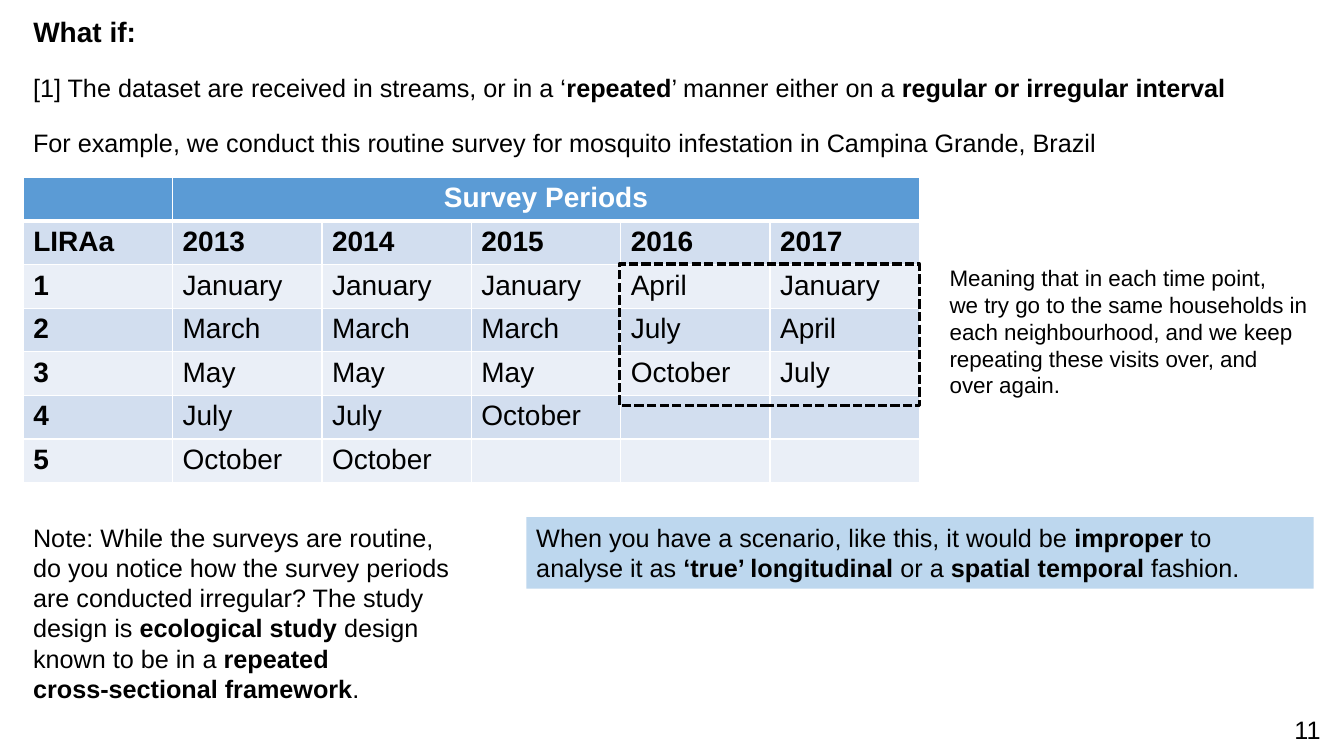
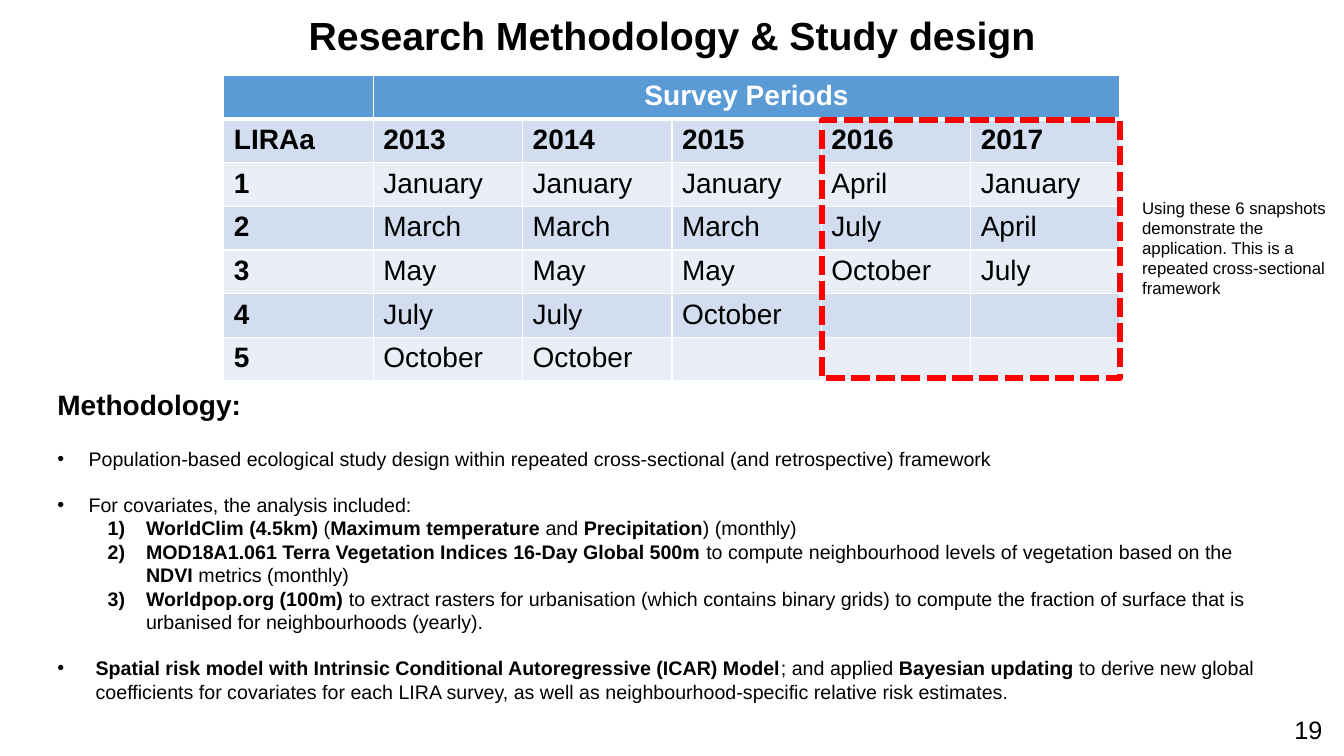
from dataclasses import dataclass
from typing import Optional

from lxml import etree
from pptx import Presentation
from pptx.dml.color import RGBColor
from pptx.enum.dml import MSO_LINE
from pptx.enum.shapes import MSO_SHAPE
from pptx.enum.text import MSO_ANCHOR, MSO_AUTO_SIZE, PP_ALIGN
from pptx.oxml.ns import qn
from pptx.util import Inches, Pt

LEFT, CENTER = PP_ALIGN.LEFT, PP_ALIGN.CENTER
TOP = MSO_ANCHOR.TOP
RECTANGLE = MSO_SHAPE.RECTANGLE
DASHED = MSO_LINE.SQUARE_DOT
TITLE_ONLY = 5


@dataclass(frozen=True)
class Theme:
    font: str = "Arial"
    ink: str = "000000"
    paper: str = "FFFFFF"
    header: str = "5B9BD5"
    band_dark: str = "D2DEEF"
    band_light: str = "EAEFF7"
    callout: str = "BDD7EE"
    alert: str = "FF0000"
    title: int = 28
    heading: int = 20
    body: int = 18
    remark: int = 16
    detail: int = 14
    caption: int = 12


@dataclass(frozen=True)
class Box:
    left: float
    top: float
    width: float
    height: float

    def lengths(self):
        return [Inches(v) for v in (self.left, self.top, self.width, self.height)]


@dataclass(frozen=True)
class Para:
    """A paragraph; **double asterisks** enclose bold words."""
    text: str
    size: int
    align: PP_ALIGN = LEFT
    color: str = "000000"
    bullet: Optional[str] = None  # "•" or "1)"
    margin: float = 0
    hanging: float = 0
    before: int = 0
    spacing: Optional[float] = None


THEME = Theme()

SURVEY_ROWS = [
    ["LIRAa", "2013", "2014", "2015", "2016", "2017"],
    ["1", "January", "January", "January", "April", "January"],
    ["2", "March", "March", "March", "July", "April"],
    ["3", "May", "May", "May", "October", "July"],
    ["4", "July", "July", "October", "", ""],
    ["5", "October", "October", "", "", ""],
]
SURVEY_WIDTH, SURVEY_HEIGHT = 8.89, 3.03


# Text
def write_para(paragraph, para: Para) -> None:
    if para.bullet:
        props = paragraph._p.get_or_add_pPr()
        props.set("marL", str(Inches(para.margin)))
        props.set("indent", str(-Inches(para.hanging)))
        font = etree.SubElement(props, qn("a:buFont"))
        font.set("typeface", THEME.font)
        if para.bullet == "1)":
            paragraph.level = 1
            etree.SubElement(props, qn("a:buAutoNum")).set("type", "arabicParenR")
        else:
            etree.SubElement(props, qn("a:buChar")).set("char", para.bullet)
    paragraph.alignment = para.align
    if para.before:
        paragraph.space_before = Pt(para.before)
    if para.spacing:
        paragraph.line_spacing = para.spacing
    for index, part in enumerate(para.text.split("**")):
        if part:
            run = paragraph.add_run()
            run.text = part
            run.font.name = THEME.font
            run.font.size = Pt(para.size)
            run.font.bold = index % 2 == 1
            run.font.color.rgb = RGBColor.from_string(para.color)


def fill_frame(frame, paras: list[Para]) -> None:
    frame.word_wrap = True
    frame.auto_size = MSO_AUTO_SIZE.NONE
    frame.vertical_anchor = TOP
    for index, para in enumerate(paras):
        paragraph = frame.add_paragraph() if index else frame.paragraphs[0]
        write_para(paragraph, para)


def add_text(slide, box: Box, paras: list[Para]) -> None:
    fill_frame(slide.shapes.add_textbox(*box.lengths()).text_frame, paras)


def add_lines(slide, box: Box, lines: list[str], size: int) -> None:
    add_text(slide, box, [Para(line, size) for line in lines])


# Shapes
def add_callout(slide, box: Box, text: str) -> None:
    callout = slide.shapes.add_shape(RECTANGLE, *box.lengths())
    callout.shadow.inherit = False
    callout.fill.solid()
    callout.fill.fore_color.rgb = RGBColor.from_string(THEME.callout)
    callout.line.fill.background()
    fill_frame(callout.text_frame, [Para(text, THEME.body)])


def add_dashed_frame(slide, box: Box, color: str, weight: float) -> None:
    frame = slide.shapes.add_shape(RECTANGLE, *box.lengths())
    frame.shadow.inherit = False
    frame.fill.background()
    frame.line.color.rgb = RGBColor.from_string(color)
    frame.line.width = Pt(weight)
    frame.line.dash_style = DASHED


# Survey table
def style_cell(cell, fill: str, bottom: int = 1, top: int = 1) -> None:
    props = cell._tc.get_or_add_tcPr()
    for side, weight in (("L", 1), ("R", 1), ("T", top), ("B", bottom)):
        border = etree.SubElement(props, qn(f"a:ln{side}"))
        border.set("w", str(Pt(weight)))
        solid = etree.SubElement(border, qn("a:solidFill"))
        etree.SubElement(solid, qn("a:srgbClr")).set("val", THEME.paper)
    cell.fill.solid()
    cell.fill.fore_color.rgb = RGBColor.from_string(fill)


def add_survey_table(slide, left: float, top: float) -> None:
    box = Box(left, top, SURVEY_WIDTH, SURVEY_HEIGHT)
    columns = len(SURVEY_ROWS[0])
    table = slide.shapes.add_table(len(SURVEY_ROWS) + 1, columns, *box.lengths()).table
    for column in range(columns):
        style_cell(table.cell(0, column), THEME.header, bottom=3)
    periods = table.cell(0, 1)
    periods.merge(table.cell(0, columns - 1))
    write_para(periods.text_frame.paragraphs[0],
               Para("**Survey Periods**", THEME.heading, CENTER, THEME.paper))
    for r, row in enumerate(SURVEY_ROWS, start=1):
        for c, entry in enumerate(row):
            cell = table.cell(r, c)
            style_cell(cell, THEME.band_dark if r % 2 else THEME.band_light,
                       top=3 if r == 1 else 1)
            if entry:
                text = f"**{entry}**" if r == 1 or c == 0 else entry
                write_para(cell.text_frame.paragraphs[0], Para(text, THEME.heading))


# Shared slide start: title and page number
def start_slide(deck, title_box: Box, title: Para, number: str):
    slide = deck.slides.add_slide(deck.slide_layouts[TITLE_ONLY])
    heading = slide.shapes.title
    heading.left, heading.top, heading.width, heading.height = title_box.lengths()
    fill_frame(heading.text_frame, [title])
    add_lines(slide, Box(12.74, 7.04, 0.59, 0.4), [number], THEME.body)
    return slide


def build_what_if(deck) -> None:
    slide = start_slide(deck, Box(0.23, 0.09, 3.79, 0.44),
                        Para("**What if:**", THEME.heading), "11")
    add_lines(slide, Box(0.23, 0.67, 12.21, 0.4), [
        "[1] The dataset are received in streams, or in a ‘**repeated**’ manner "
        "either on a **regular or irregular interval**"], THEME.body)
    add_lines(slide, Box(0.23, 1.21, 10.97, 0.4), [
        "For example, we conduct this routine survey for mosquito infestation "
        "in Campina Grande, Brazil"], THEME.body)
    add_survey_table(slide, 0.23, 1.76)
    add_dashed_frame(slide, Box(6.14, 2.62, 2.98, 1.4), THEME.ink, 2.25)
    add_lines(slide, Box(9.32, 2.57, 3.86, 1.45), [
        "Meaning that in each time point,",
        "we try go to the same households in",
        "each neighbourhood, and we keep",
        "repeating these visits over, and",
        "over again.",
    ], THEME.remark)
    add_lines(slide, Box(0.23, 5.13, 4.5, 1.92), [
        "Note: While the surveys are routine,",
        "do you notice how the survey periods",
        "are conducted irregular? The study",
        "design is **ecological study **design",
        "known to be in a **repeated**",
        "**cross-sectional framework**.",
    ], THEME.body)
    add_callout(slide, Box(5.22, 5.13, 7.81, 0.71),
                "When you have a scenario, like this, it would be **improper** to analyse "
                "it as **‘true’ longitudinal **or a **spatial temporal** fashion.")


def build_methodology(deck) -> None:
    slide = start_slide(deck, Box(0.22, 0.11, 12.89, 0.62),
                        Para("**Research Methodology & Study design**", THEME.title,
                             CENTER, spacing=0.9), "19")
    add_survey_table(slide, 2.22, 0.75)
    add_dashed_frame(slide, Box(8.15, 1.19, 2.96, 2.56), THEME.alert, 4.5)
    add_lines(slide, Box(11.23, 1.91, 2.03, 1.11), [
        "Using these 6 snapshots demonstrate the application. "
        "This is a repeated cross-sectional framework"], THEME.caption)

    def point(text: str, before: int, indent: float = 0.31) -> Para:
        return Para(text, THEME.detail, bullet="•", margin=indent,
                    hanging=indent, before=before)

    covariates = [
        "**WorldClim (4.5km)** (**Maximum temperature **and **Precipitation**) (monthly)",
        "**MOD18A1.061 Terra Vegetation Indices 16-Day Global 500m **to compute "
        "neighbourhood levels of vegetation based on the **NDVI** metrics (monthly)",
        "**Worldpop.org (100m) **to extract rasters for urbanisation (which contains "
        "binary grids) to compute the fraction of surface that is urbanised for "
        "neighbourhoods (yearly).",
    ]
    add_text(slide, Box(0.47, 3.8, 12.28, 3.3), [
        Para("**Methodology:**", THEME.heading),
        point("Population-based ecological study design within repeated "
              "cross-sectional (and retrospective) framework", 18),
        point("For covariates, the analysis included:", 16),
        *[Para(text, THEME.detail, bullet="1)", margin=0.88, hanging=0.38)
          for text in covariates],
        point("**Spatial risk model with Intrinsic Conditional Autoregressive (ICAR) "
              "Model**; and applied **Bayesian updating** to derive new global "
              "coefficients for covariates for each LIRA survey, as well as "
              "neighbourhood-specific relative risk estimates.", 16, 0.38),
    ])


def main() -> None:
    deck = Presentation()
    deck.slide_width, deck.slide_height = Inches(13.33), Inches(7.5)
    build_what_if(deck)
    build_methodology(deck)
    deck.save("out.pptx")


if __name__ == "__main__":
    main()
